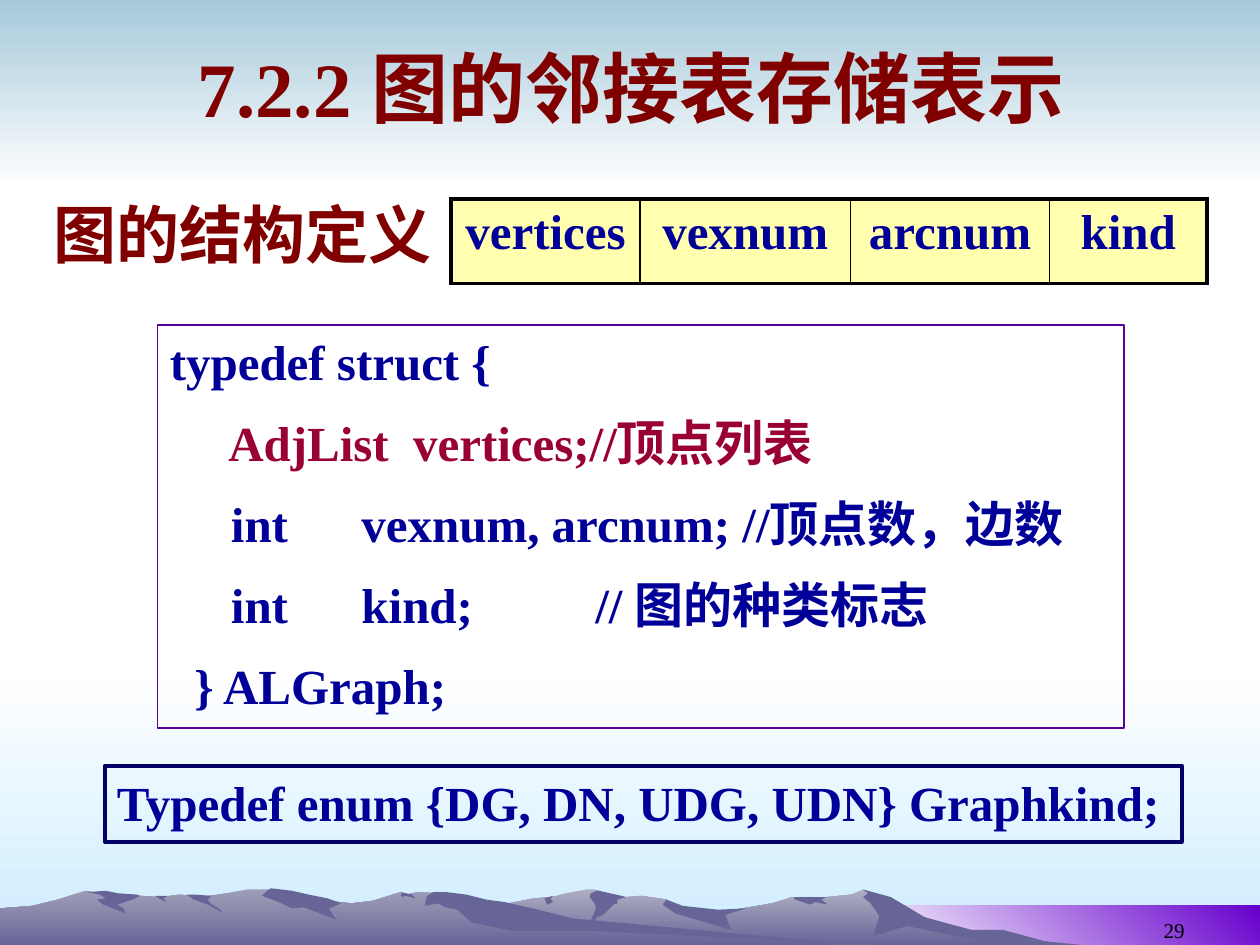
from pptx import Presentation
from pptx.dml.color import RGBColor
from pptx.enum.shapes import MSO_SHAPE
from pptx.enum.text import MSO_ANCHOR, PP_ALIGN
from pptx.oxml import parse_xml
from pptx.oxml.ns import nsdecls
from pptx.util import Pt

RECT = MSO_SHAPE.RECTANGLE
LEFT, CENTER, RIGHT = PP_ALIGN.LEFT, PP_ALIGN.CENTER, PP_ALIGN.RIGHT
TOP, MIDDLE, BOTTOM = MSO_ANCHOR.TOP, MSO_ANCHOR.MIDDLE, MSO_ANCHOR.BOTTOM

PX = 9144  # 100 px to the inch
FONT = "Times New Roman"
DOWN, UP_RIGHT = 270, 45  # gradient directions
COLORS = {
    "white": "FFFFFF", "black": "000000", "sky": "A6C9DA", "mist": "CCECFF",
    "violet": "6600CC", "ridge_far": "AEAEC2", "ridge_near": "9F9EB8",
    "rock": "676597", "maroon": "800000", "navy": "000099", "crimson": "990033",
    "code_line": "590096", "enum_line": "000066", "cell": "FFFFAF",
}

# Mountain outlines as x, y, x, y, ...
FAR_RIDGE = (
    802, 746, 778, 740, 764, 738, 723, 725, 702, 712, 685, 706, 676, 710, 656, 712,
    629, 712, 613, 717, 566, 725, 536, 721, 529, 714, 509, 711, 486, 713, 471, 706,
    465, 706, 450, 709, 438, 712, 424, 713, 394, 719, 355, 725, 327, 731, 277, 745,
    258, 750, 820, 750)
NEAR_RIDGE = (
    690, 750, 667, 750, 432, 732, 354, 709, 331, 708, 323, 710, 318, 708, 296, 715,
    279, 717, 260, 715, 236, 717, 223, 708, 215, 706, 196, 706, 180, 709, 160, 712,
    143, 710, 128, 712, 111, 711, 94, 712, 68, 707, 46, 714, 26, 719, 0, 721, 0, 750)
FAR_SHADOWS = (
    (796, 738, 771, 738, 734, 728, 707, 712, 685, 706, 689, 709, 685, 712, 691, 717,
     698, 727, 693, 743, 720, 735, 792, 750, 858, 750, 829, 747),
    (471, 706, 474, 707, 469, 709, 468, 712, 472, 717, 473, 721, 465, 740, 474, 728,
     479, 726, 487, 718, 490, 717, 490, 714, 497, 712, 493, 711),
    (529, 714, 526, 718, 536, 725, 580, 738, 576, 726, 592, 721, 570, 722, 542, 719),
    (650, 712, 630, 712, 631, 714, 643, 718, 647, 716, 657, 718, 652, 714, 656, 712),
    (433, 715, 432, 713, 439, 711, 437, 713, 439, 716, 434, 718),
)
NEAR_SHADOWS = (
    (212, 707, 208, 711, 219, 715, 232, 721, 241, 720, 267, 730, 261, 721, 271, 717,
     260, 713, 245, 710, 232, 707, 215, 705),
    (370, 710, 354, 708, 344, 708, 339, 711, 337, 719, 348, 717, 353, 720, 363, 722,
     374, 732, 407, 739, 472, 739, 690, 750, 683, 750, 455, 729, 427, 722, 401, 716,
     386, 714),
    (318, 710, 320, 709, 318, 708, 327, 710, 330, 713, 322, 711, 319, 712),
    (154, 710, 168, 711, 165, 714, 167, 717, 175, 722, 176, 724, 165, 718, 154, 714,
     148, 710),
    (133, 711, 130, 713, 132, 716, 126, 713, 123, 711),
    (109, 710, 111, 711, 105, 714, 93, 718, 98, 721, 100, 725, 82, 718, 77, 714,
     84, 713, 79, 710, 69, 708, 84, 707, 94, 709),
)


def rgb(name):
    return RGBColor.from_string(COLORS[name])


def box(x, y, w, h):
    return [v * PX for v in (x, y, w, h)]


def paint(sp, *names, angle=DOWN):
    """Fill with one colour or a two-colour gradient, without outline."""
    sp.shadow.inherit = False
    sp.line.fill.background()
    if len(names) == 1:
        sp.fill.solid()
        sp.fill.fore_color.rgb = rgb(names[0])
        return
    sp.fill.gradient()
    sp.fill.gradient_angle = angle
    for stop, name in zip(sp.fill.gradient_stops, names):
        stop.color.rgb = rgb(name)


def add_band(s, area, start, end, angle=DOWN):
    paint(s.shapes.add_shape(RECT, *box(*area)), start, end, angle=angle)


def add_outline(s, coords, *names):
    points = list(zip(coords[::2], coords[1::2]))
    fb = s.shapes.build_freeform(*points[0], scale=PX)
    fb.add_line_segments(points[1:], close=True)
    paint(fb.convert_to_shape(), *names)


def write(tf, lines, size, align=LEFT, anchor=TOP, bold=True, wrap=True, gap=0):
    """Fill a text frame from (text, colour) lines."""
    tf.word_wrap = wrap
    tf.vertical_anchor = anchor
    for i, (text, color) in enumerate(lines):
        p = tf.add_paragraph() if i else tf.paragraphs[0]
        p.text = text
        p.alignment = align
        if i and gap:
            p.space_before = Pt(gap)
        for r in p.runs:
            r.font.name, r.font.size, r.font.bold = FONT, Pt(size), bold
            r.font.color.rgb = rgb(color)


def add_label(s, area, text, size, color, **style):
    sp = s.shapes.add_textbox(*box(*area))
    write(sp.text_frame, [(text, color)], size, **style)


def add_frame(s, area, line, width, lines, **style):
    sp = s.shapes.add_shape(RECT, *box(*area))
    sp.shadow.inherit = False
    sp.fill.background()
    sp.line.color.rgb = rgb(line)
    sp.line.width = Pt(width)
    write(sp.text_frame, lines, 28, **style)


def set_borders(cell, **widths):
    tcPr = cell._tc.get_or_add_tcPr()
    for i, (side, width) in enumerate(widths.items()):
        tcPr.insert(i, parse_xml(
            f'<a:{side} {nsdecls("a")} w="{int(Pt(width))}"><a:solidFill>'
            f'<a:srgbClr val="{COLORS["black"]}"/></a:solidFill></a:{side}>'))


def add_field_table(s, area, fields):
    """One row of (field name, column width)."""
    table = s.shapes.add_table(1, len(fields), *box(*area)).table
    table.first_row = table.horz_banding = False
    last = len(fields) - 1
    for i, (name, width) in enumerate(fields):
        table.columns[i].width = width * PX
        cell = table.cell(0, i)
        cell.fill.solid()
        cell.fill.fore_color.rgb = rgb("cell")
        write(cell.text_frame, [(name, "navy")], 28, align=CENTER)
        set_borders(cell, lnL=1 if i else 2.25, lnR=2.25 if i == last else 1,
                    lnT=2.25, lnB=2.25)


def add_scenery(s):
    add_band(s, (0, 533, 1000, 217), "white", "mist")
    add_band(s, (0, 0, 1000, 150), "sky", "white")
    add_band(s, (683, 719, 317, 31), "white", "violet", UP_RIGHT)
    for ridge, tone, shadows in ((FAR_RIDGE, "ridge_far", FAR_SHADOWS),
                                 (NEAR_RIDGE, "ridge_near", NEAR_SHADOWS)):
        add_outline(s, ridge, tone, "rock")
        for shadow in shadows:
            add_outline(s, shadow, "rock")


def add_title(s, area, text):
    sp = s.shapes.title
    sp.left, sp.top, sp.width, sp.height = box(*area)
    write(sp.text_frame, [(text, "maroon")], 44, align=CENTER, anchor=MIDDLE)
    s.shapes._spTree.append(sp._element)  # bring in front of the scenery


def main():
    prs = Presentation()
    prs.slide_width, prs.slide_height = 1000 * PX, 750 * PX
    s = prs.slides.add_slide(prs.slide_layouts[5])
    add_scenery(s)

    # Page number and headings
    add_label(s, (717, 703, 233, 50), "29", 12, "black",
              align=RIGHT, anchor=BOTTOM, bold=False)
    add_title(s, (51, 13, 900, 112), "7.2.2 图的邻接表存储表示")
    add_label(s, (33, 150, 392, 70), "图的结构定义", 36, "maroon")

    # Structure definition
    add_frame(s, (125, 258, 767, 320), "code_line", 1, [
        ("typedef struct {", "navy"),
        ("     AdjList  vertices;//顶点列表", "crimson"),
        ("     int      vexnum, arcnum; //顶点数，边数", "navy"),
        ("     int      kind;          // 图的种类标志", "navy"),
        ("  } ALGraph;", "navy"),
    ], gap=12.7)
    add_field_table(s, (358, 158, 600, 67), [
        ("vertices", 150), ("vexnum", 167), ("arcnum", 158), ("kind", 125)])

    # Graph kinds
    add_frame(s, (83, 608, 855, 60), "enum_line", 2.25,
              [("Typedef enum {DG, DN, UDG, UDN} Graphkind;", "navy")], wrap=False)
    prs.save("out.pptx")


if __name__ == "__main__":
    main()
